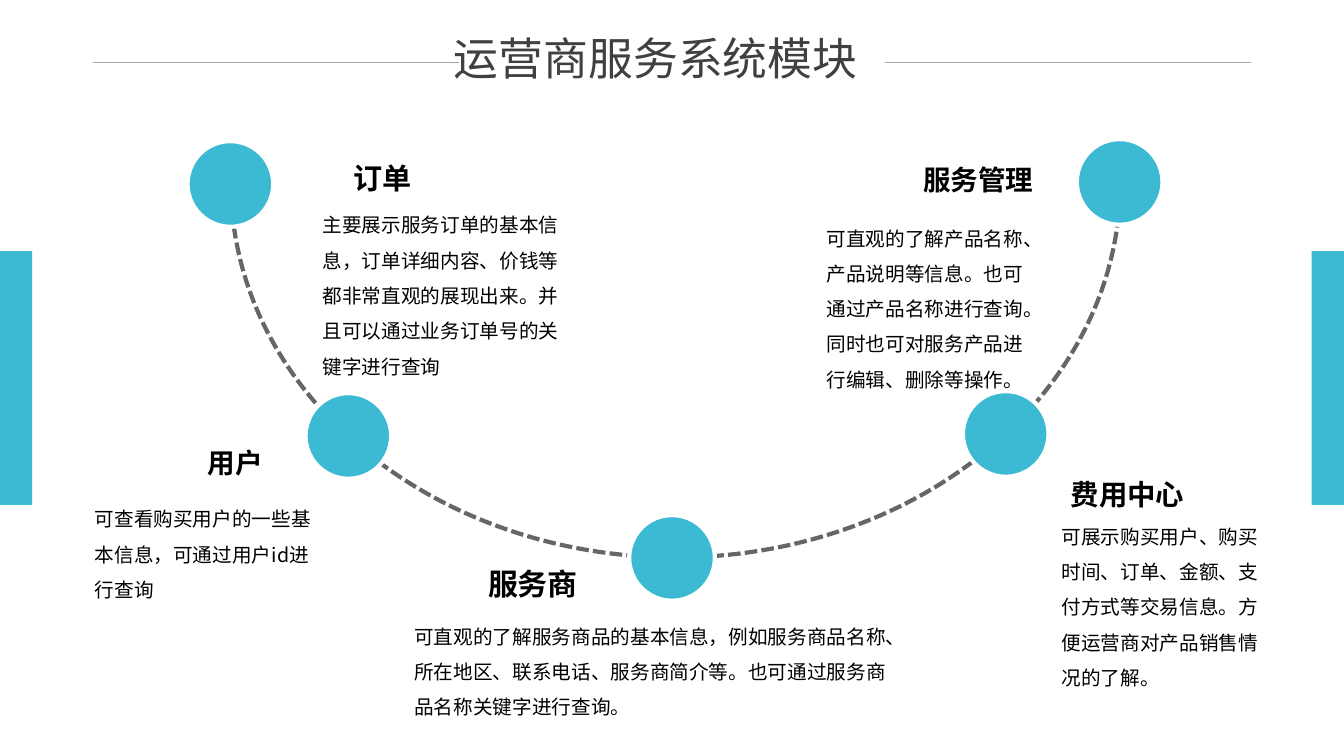
from lxml import etree
from pptx import Presentation
from pptx.dml.color import RGBColor
from pptx.enum import dml, shapes, text
from pptx.oxml.ns import qn
from pptx.util import Inches, Pt

TEAL = RGBColor(0x3D, 0xBA, 0xD3)
WHITE = RGBColor(0xFF, 0xFF, 0xFF)
BLACK = RGBColor(0, 0, 0)
DARK = RGBColor(0x40, 0x40, 0x40)
DASH_GREY = RGBColor(0x66, 0x66, 0x66)
RULE_GREY = RGBColor(0xA6, 0xA6, 0xA6)
FONT = "Noto Sans CJK JP"
TOP, MIDDLE, BOTTOM = text.MSO_ANCHOR.TOP, text.MSO_ANCHOR.MIDDLE, text.MSO_ANCHOR.BOTTOM
LEFT, CENTER, RIGHT = text.PP_ALIGN.LEFT, text.PP_ALIGN.CENTER, text.PP_ALIGN.RIGHT
INDENT = 0.42
ARC_UNIT = 0.6  # adjustment value per degree

# heading, size, box, align, anchor; body, box, anchor; (left, right) insets of both
MODULES = [
    ("服务商", 21.4, (3.89, 5.55, 2.79, 0.42), CENTER, BOTTOM,
     "可直观的了解服务商品的基本信息，例如服务商品名称、所在地区、联系电话、服务商简介等。"
     "也可通过服务商品名称关键字进行查询。",
     (4.11, 5.98, 4.8, 1.61), TOP, (0, 0)),
    ("费用中心", 20.3, (10.2, 4.75, 2.47, 0.32), LEFT, BOTTOM,
     "可展示购买用户、购买时间、订单、金额、支付方式等交易信息。方便运营商对产品销售情况的了解。",
     (10.11, 4.99, 2.47, 2.29), TOP, (INDENT, 0)),
    ("用户", 19.7, (0.56, 4.43, 2.47, 0.32), RIGHT, MIDDLE,
     "可查看购买用户的一些基本信息，可通过用户id进行查询",
     (0.94, 4.92, 2.69, 1.04), MIDDLE, (0, INDENT)),
    ("订单", 20.8, (3.09, 1.62, 2.47, 0.32), LEFT, BOTTOM,
     "主要展示服务订单的基本信息，订单详细内容、价钱等都非常直观的展现出来。"
     "并且可以通过业务订单号的关键字进行查询",
     (2.78, 1.9, 2.79, 1.9), TOP, (INDENT, 0)),
    ("服务管理", 19.7, (8.2, 1.62, 2.47, 0.32), RIGHT, MIDDLE,
     "可直观的了解产品名称、产品说明等信息。也可通过产品名称进行查询。"
     "同时也可对服务产品进行编辑、删除等操作。",
     (8.2, 1.94, 2.47, 2.13), MIDDLE, (0, INDENT)),
]


def add_shape(slide, kind, box, fill=None):
    shape = slide.shapes.add_shape(kind, *map(Inches, box))
    shape.shadow.inherit = False
    if fill is None:
        shape.fill.background()
    else:
        shape.fill.solid()
        shape.fill.fore_color.rgb = fill
    return shape


def add_text(slide, box, words, size, color=BLACK, bold=False, align=LEFT,
             anchor=TOP, insets=(0, 0), top_inset=0, wrap=True, spacing=None):
    frame = slide.shapes.add_textbox(*map(Inches, box)).text_frame
    frame.word_wrap = wrap
    frame.vertical_anchor = anchor
    frame.margin_left, frame.margin_right = map(Inches, insets)
    frame.margin_top, frame.margin_bottom = Inches(top_inset), 0
    paragraph = frame.paragraphs[0]
    paragraph.alignment = align
    if spacing:
        paragraph.line_spacing = spacing
    run = paragraph.add_run()
    run.text = words
    run.font.size = Pt(size)
    run.font.bold = bold
    run.font.color.rgb = color
    run.font.name = FONT
    etree.SubElement(run.font._element, qn("a:ea"), typeface=FONT)


def add_side_bars(slide, box):
    left, top, width, height = box
    bar = 0.32
    for x in (left, left + width - bar):
        add_shape(slide, shapes.MSO_SHAPE.RECTANGLE, (x, top, bar, height),
                  TEAL).line.fill.background()


def add_title(slide, box):
    """Centred title between two hairlines that run to the ends of the box."""
    left, top, width, height = box
    rule_length, rule_y = 3.63, top + 0.32
    add_text(slide, (left + 3.54, top, 4.09, height), "运营商服务系统模块", 32, DARK,
             align=CENTER, anchor=MIDDLE)
    for x in (left, left + width - rule_length):
        rule = slide.shapes.add_connector(
            shapes.MSO_CONNECTOR.STRAIGHT,
            *map(Inches, (x, rule_y, x + rule_length, rule_y)))
        rule.line.color.rgb = RULE_GREY
        rule.line.width = Pt(0.5)
        etree.SubElement(rule._element.spPr, qn("a:effectLst"))


def add_arc_chain(slide, box):
    """Dashed lower half of the ellipse in box, with five nodes along it."""
    left, top, width, height = box
    for start, end in ((324.08, 360), (270.46, 322.04), (218.48, 269.38), (179.74, 217.51)):
        arc = add_shape(slide, shapes.MSO_SHAPE.ARC, box)
        arc.rotation = 180
        arc.adjustments[0] = start * ARC_UNIT
        arc.adjustments[1] = end % 360 * ARC_UNIT
        arc.line.color.rgb = DASH_GREY
        arc.line.width = Pt(3)
        arc.line.dash_style = dml.MSO_LINE.SQUARE_DOT
    node = 0.85
    for dx, dy in ((-0.43, 3.29), (0.74, 5.79), (3.95, 7), (7.26, 5.77), (8.39, 3.27)):
        circle = add_shape(slide, shapes.MSO_SHAPE.OVAL,
                           (left + dx, top + dy, node, node), TEAL)
        circle.line.color.rgb = WHITE
        circle.line.width = Pt(3)


def add_module(slide, heading, size, heading_box, align, anchor,
               body, body_box, body_anchor, insets):
    add_text(slide, heading_box, heading, size, bold=True, align=align,
             anchor=anchor, insets=insets, wrap=False)
    add_text(slide, body_box, body, 14, anchor=body_anchor, insets=insets,
             top_inset=0.1 if body_anchor == TOP else 0, spacing=1.5)


def main():
    deck = Presentation()
    deck.slide_width, deck.slide_height = Inches(13.33), Inches(7.5)
    slide = deck.slides.add_slide(deck.slide_layouts[6])
    add_side_bars(slide, (0, 2.49, 13.33, 2.52))
    add_arc_chain(slide, (2.29, -1.89, 8.82, 7.42))
    for module in MODULES:
        add_module(slide, *module)
    add_title(slide, (0.92, 0.3, 11.49, 0.54))
    deck.save("out.pptx")


if __name__ == "__main__":
    main()
